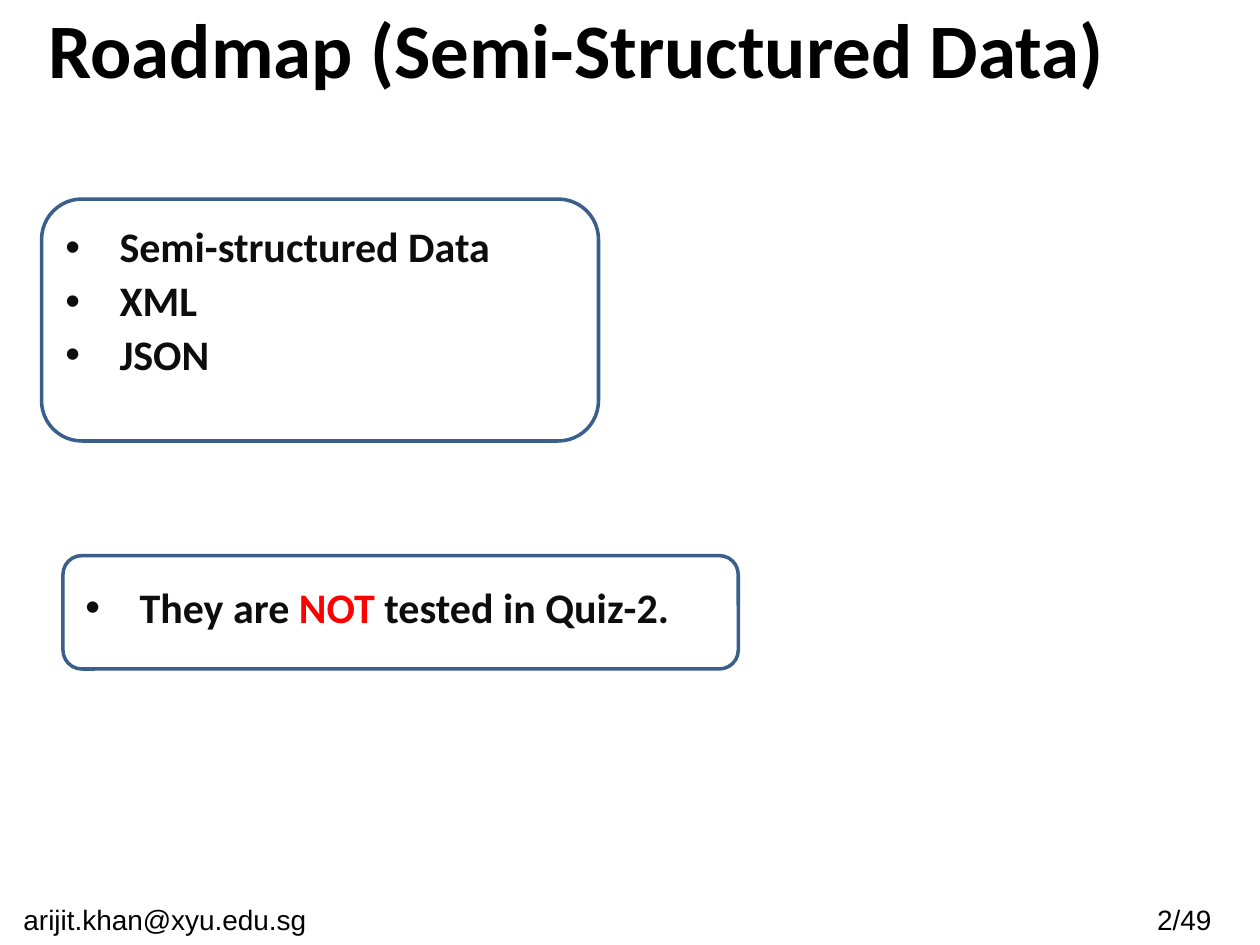
"""Build the roadmap slide on semi-structured data."""
import pptx
import pptx.util
import pptx.dml.color
import pptx.enum.shapes
import pptx.enum.text
import pptx.oxml.ns
import lxml.etree

Inches = pptx.util.Inches
ALIGN = pptx.enum.text.PP_ALIGN
ANCHOR = pptx.enum.text.MSO_ANCHOR

BLACK, INK, RED, BORDER = "000000", "0D0D0D", "FF0000", "3A5F8C"
TITLE = "Roadmap (Semi-Structured Data)"
FOOTERS = [
    ("2/49 ", (8.85, 7.11, 1.16, 0.39)),
    ("arijit.khan@xyu.edu.sg ", (0, 7.11, 2.68, 0.39)),
]
TOPICS = [[("Semi-structured Data", INK)], [("XML", INK)], [("JSON", INK)]]
QUIZ_NOTE = [[("They are ", INK), ("NOT", RED), (" tested in Quiz-2.", INK)]]
BULLET_LISTS = [
    (TOPICS, (0.42, 1.75, 8.92, 1.33)),
    (QUIZ_NOTE, (0.58, 4.61, 8.92, 1.33)),
]
FRAMES = [(0.33, 1.58, 4.42, 1.92), (0.5, 4.41, 5.36, 0.9)]


def color(value):
    """Turn a hex string into a colour."""
    return pptx.dml.color.RGBColor.from_string(value)


def add_bullet(paragraph):
    """Give a paragraph a round bullet with a hanging indent."""
    properties = paragraph._p.get_or_add_pPr()
    properties.set("marL", str(Inches(0.43)))
    properties.set("indent", str(-Inches(0.43)))
    font = lxml.etree.SubElement(properties, pptx.oxml.ns.qn("a:buFont"))
    font.set("typeface", "Arial")
    character = lxml.etree.SubElement(properties, pptx.oxml.ns.qn("a:buChar"))
    character.set("char", "•")


def write_text(shape, paragraphs, size, font, bold=False, align=ALIGN.CENTER,
               anchor=ANCHOR.TOP, bullets=False):
    """Fill a shape with paragraphs of (text, colour) runs."""
    frame = shape.text_frame
    frame.word_wrap = True
    frame.auto_size = pptx.enum.text.MSO_AUTO_SIZE.NONE
    frame.vertical_anchor = anchor
    for index, runs in enumerate(paragraphs):
        paragraph = frame.add_paragraph() if index else frame.paragraphs[0]
        paragraph.alignment = align
        if bullets:
            paragraph.line_spacing = 0.9
            paragraph.space_before = pptx.util.Pt(4.8)
            add_bullet(paragraph)
        for text, run_color in runs:
            run = paragraph.add_run()
            run.text = text
            run.font.size = pptx.util.Pt(size)
            run.font.name = font
            run.font.bold = bold
            run.font.color.rgb = color(run_color)


presentation = pptx.Presentation()
presentation.slide_width = Inches(10)
presentation.slide_height = Inches(7.5)
slide = presentation.slides.add_slide(presentation.slide_layouts[5])

title = slide.shapes.title
title.left, title.top, title.width, title.height = map(Inches, (0.08, 0, 9, 0.75))
write_text(title, [[(TITLE, BLACK)]], 44, "Calibri", bold=True, anchor=ANCHOR.MIDDLE)

for text, place in FOOTERS:
    footer = slide.shapes.add_textbox(*map(Inches, place))
    write_text(footer, [[(text, BLACK)]], 16, "Arial")

for place in FRAMES:
    frame_shape = slide.shapes.add_shape(
        pptx.enum.shapes.MSO_SHAPE.ROUNDED_RECTANGLE, *map(Inches, place))
    frame_shape.shadow.inherit = False
    frame_shape.fill.background()
    frame_shape.line.color.rgb = color(BORDER)
    frame_shape.line.width = pptx.util.Pt(2)

for paragraphs, place in BULLET_LISTS:
    bullet_list = slide.shapes.add_textbox(*map(Inches, place))
    write_text(bullet_list, paragraphs, 24, "Calibri", bold=True,
               align=ALIGN.JUSTIFY, bullets=True)

presentation.save("out.pptx")
